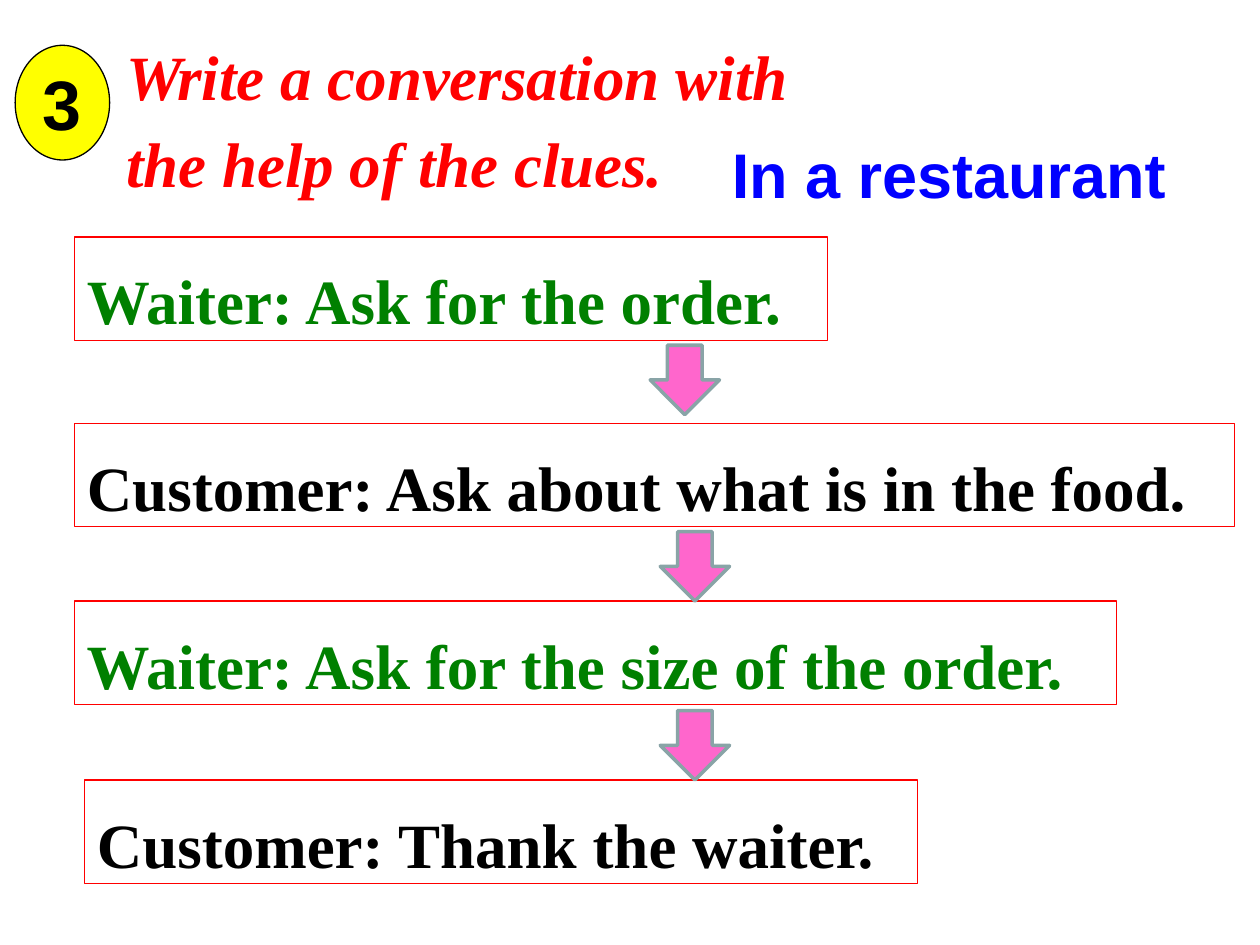
"""Build a slide of clues for a talk in a restaurant."""
import pptx
import pptx.util
import pptx.dml.color
import pptx.enum.shapes
import pptx.enum.text

Inches, Pt = pptx.util.Inches, pptx.util.Pt
Shape = pptx.enum.shapes.MSO_SHAPE
Align = pptx.enum.text.PP_ALIGN
Anchor = pptx.enum.text.MSO_ANCHOR
SERIF, SANS = "Times New Roman", "Arial"


def paint(target, tint):
    target.rgb = pptx.dml.color.RGBColor.from_string(tint)


def write(shape, text, tint, face, space=1.25, wrap=True, size=36,
          align=Align.LEFT, anchor=Anchor.TOP, slant=False):
    frame = shape.text_frame
    frame.text = text
    line = frame.paragraphs[0]
    forms = {
        frame: {"word_wrap": wrap, "vertical_anchor": anchor,
                "auto_size": pptx.enum.text.MSO_AUTO_SIZE.NONE},
        line: {"alignment": align, "line_spacing": space, "space_before": Pt(0)},
    }
    for part, form in forms.items():
        for name, value in form.items():
            setattr(part, name, value)
    font = line.runs[0].font
    for name, value in {"name": face, "size": Pt(size), "bold": True, "italic": slant}.items():
        setattr(font, name, value)
    paint(font.color, tint)


deck = pptx.Presentation()
deck.slide_width, deck.slide_height = Inches(10), Inches(7.5)
slide = deck.slides.add_slide(deck.slide_layouts[5])
shapes = slide.shapes

title = shapes.title
place = {"left": 0.9, "top": 0.16, "width": 5.83, "height": 1.39}
for name, value in place.items():
    setattr(title, name, Inches(value))
write(title, "Write a conversation with the help of the clues.", "FF0000", SERIF,
      space=1.15, slant=True)

badge = shapes.add_shape(Shape.OVAL, Inches(0.12), Inches(0.36), Inches(0.75), Inches(0.91))
badge.shadow.inherit = False
badge.fill.solid()
paint(badge.fill.fore_color, "FFFF00")
paint(badge.line.color, "000000")
badge.line.width = Pt(0.75)
write(badge, "3", "000000", SANS, space=1, wrap=False, size=40,
      align=Align.CENTER, anchor=Anchor.MIDDLE)

clues = [
    ("Waiter: Ask for the order.", "008000", 0.59, 1.88, 5.98),
    ("Customer: Ask about what is in the food.", "000000", 0.59, 3.36, 9.21),
    ("Waiter: Ask for the size of the order.", "008000", 0.59, 4.77, 8.27),
    ("Customer: Thank the waiter.", "000000", 0.67, 6.19, 6.61),
]
for text, tint, left, top, width in clues:
    box = shapes.add_shape(Shape.RECTANGLE, Inches(left), Inches(top), Inches(width), Inches(0.82))
    box.shadow.inherit = False
    box.fill.background()
    paint(box.line.color, "FF0000")
    box.line.width = Pt(0.75)
    write(box, text, tint, SERIF)

for left, top in [(5.16, 2.74), (5.24, 4.22), (5.24, 5.64)]:
    arrow = shapes.add_shape(Shape.DOWN_ARROW, Inches(left), Inches(top), Inches(0.55), Inches(0.55))
    arrow.shadow.inherit = False
    arrow.fill.solid()
    paint(arrow.fill.fore_color, "FF66CC")
    paint(arrow.line.color, "89A4A7")
    arrow.line.width = Pt(2)

scene = shapes.add_textbox(Inches(5.71), Inches(0.88), Inches(3.86), Inches(0.82))
write(scene, "In a restaurant", "0000FF", SANS)

deck.save("out.pptx")
